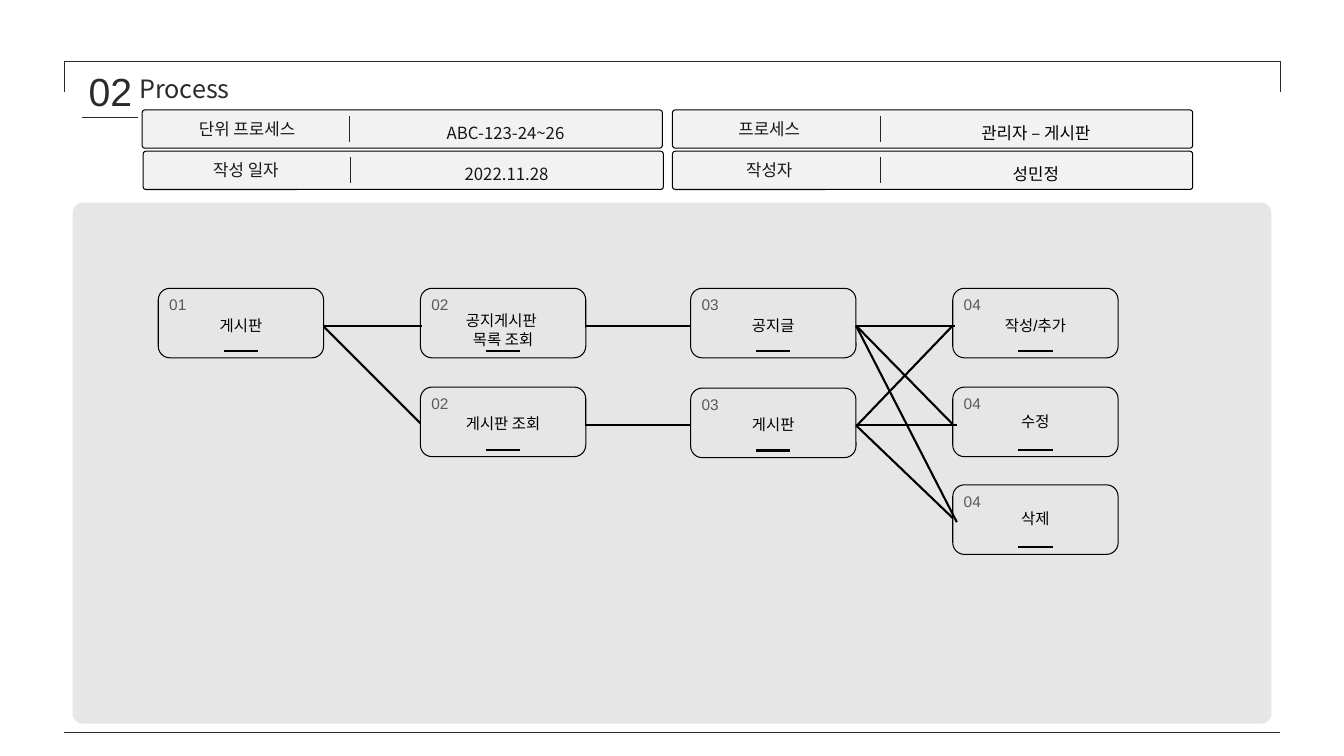
from pptx import Presentation
from pptx.dml.color import RGBColor
from pptx.enum.shapes import MSO_CONNECTOR, MSO_SHAPE
from pptx.enum.text import MSO_ANCHOR, MSO_AUTO_SIZE, PP_ALIGN
from pptx.oxml.ns import qn
from pptx.util import Inches, Pt
from lxml.etree import SubElement

NOTO = "Noto Sans CJK KR"


def style(item, fill=None, line=None, width=0.75, head=None, tail=None):
    if fill:
        item.fill.solid()
        item.fill.fore_color.rgb = RGBColor.from_string(fill)
    elif hasattr(item, "fill"):
        item.fill.background()
    if line:
        item.line.color.rgb = RGBColor.from_string(line)
        item.line.width = Pt(width)
    else:
        item.line.fill.background()
    if hasattr(item, "shadow"):
        item.shadow.inherit = False
    else:
        spPr = item._element.spPr
        for tag, kind in (("a:headEnd", head), ("a:tailEnd", tail)):
            if kind:
                SubElement(spPr.find(qn("a:ln")), qn(tag)).set("type", kind)
        SubElement(spPr, qn("a:effectLst"))


def write(box, text, size, color, font, align=PP_ALIGN.LEFT, spacing=1.0, margins=(0.1, 0.05, 0.1, 0.05)):
    tf = box.text_frame
    tf.word_wrap = True
    tf.auto_size = MSO_AUTO_SIZE.NONE
    tf.vertical_anchor = MSO_ANCHOR.TOP
    tf.margin_left, tf.margin_top, tf.margin_right, tf.margin_bottom = [Inches(m) for m in margins]
    tf.text = text
    for p in tf.paragraphs:
        p.alignment = align
        p.line_spacing = spacing
        p.font.size = Pt(size)
        p.font.name = font
        p.font.color.rgb = RGBColor.from_string(color)


prs = Presentation()
prs.slide_width = Inches(13.33)
prs.slide_height = Inches(7.5)
s = prs.slides.add_slide(prs.slide_layouts[5])
shapes = s.shapes

panel = shapes.add_shape(MSO_SHAPE.ROUNDED_RECTANGLE, Inches(0.72), Inches(2.01), Inches(11.89), Inches(5.17))
panel.adjustments[0] = 0.02
style(panel, fill="E7E6E6")

bracket = shapes.add_shape(MSO_SHAPE.RIGHT_BRACKET, Inches(6.52), Inches(-5.27), Inches(0.3), Inches(12.06))
bracket.adjustments[0] = 0
bracket.rotation = 270
style(bracket, line="2A2A2A")

for x1, x2, y in ((0.63, 12.7, 7.27), (0.81, 1.37, 1.17)):
    rule = shapes.add_connector(MSO_CONNECTOR.STRAIGHT, Inches(x1), Inches(y), Inches(x2), Inches(y))
    style(rule, line="2A2A2A")

title = shapes.title
title.left, title.top, title.width, title.height = Inches(1.34), Inches(0.71), Inches(1.26), Inches(0.34)
write(title, "Process", 18, "2A2A2A", NOTO, margins=(0.04, 0.02, 0.12, 0.02))
number = shapes.add_textbox(Inches(0.88), Inches(0.67), Inches(0.49), Inches(0.79))
write(number, "02", 28, "2A2A2A", "Arial", margins=(0, 0, 0, 0))

fields = [
    (1.41, 1.09, "단위 프로세스 ", 1.06, "ABC-123-24~26", "181717"),
    (1.42, 1.5, "작성 일자", 1.02, "2022.11.28", "181717"),
    (6.67, 1.09, "프로세스", 0.96, "관리자 – 게시판", "000000"),
    (6.67, 1.5, "작성자", 0.96, "성민정", "000000"),
]
for x, y, label, center, value, color in fields:
    bar = shapes.add_shape(MSO_SHAPE.ROUNDED_RECTANGLE, Inches(x), Inches(y), Inches(5.16), Inches(0.38))
    bar.adjustments[0] = 0.075
    style(bar, fill="F2F2F2", line="000000")
    divider = shapes.add_connector(
        MSO_CONNECTOR.STRAIGHT, Inches(x + 2.06), Inches(y + 0.06), Inches(x + 2.06), Inches(y + 0.32))
    style(divider, line="242424")
    tb = shapes.add_textbox(Inches(x + center - 0.83), Inches(y + 0.01), Inches(1.66), Inches(0.33))
    write(tb, label, 12, "181717", NOTO, PP_ALIGN.CENTER, 1.14)
    tb = shapes.add_textbox(Inches(x + 2.19), Inches(y + 0.02), Inches(2.83), Inches(0.36))
    write(tb, value, 12, color, NOTO, PP_ALIGN.CENTER, 1.3)

steps = [
    (1.57, 2.86, "01", "게시판", 0.23),
    (4.17, 2.86, "02", "공지게시판 \n목록 조회", 0.18),
    (6.85, 2.86, "03", "공지글", 0.23),
    (9.45, 2.86, "04", "작성/추가", 0.23),
    (4.17, 3.84, "02", "게시판 조회", 0.22),
    (6.85, 3.85, "03", "게시판", 0.22),
    (9.45, 3.84, "04", "수정", 0.2),
    (9.45, 4.81, "04", "삭제", 0.19),
]
for x, y, num, name, offset in steps:
    card = shapes.add_shape(MSO_SHAPE.ROUNDED_RECTANGLE, Inches(x), Inches(y), Inches(1.64), Inches(0.69))
    style(card, line="000000")
    tb = shapes.add_textbox(Inches(x + 0.01), Inches(y + 0.02), Inches(0.61), Inches(0.29))
    write(tb, num, 11, "595959", "Arial")
    dash = shapes.add_connector(
        MSO_CONNECTOR.STRAIGHT, Inches(x + 0.65), Inches(y + 0.62), Inches(x + 0.99), Inches(y + 0.62))
    style(dash, line="000000", width=1.5)
    tb = shapes.add_textbox(Inches(x), Inches(y + offset), Inches(1.64), Inches(0.29 + 0.18 * name.count("\n")))
    write(tb, name, 11, "000000", "Arial", PP_ALIGN.CENTER)

arrows = [
    (3.21, 3.23, 4.19, 3.23),
    (3.21, 3.24, 4.17, 4.2),
    (5.81, 3.23, 6.85, 3.23),
    (5.81, 4.22, 6.85, 4.22),
    (8.49, 3.23, 9.47, 3.23),
    (8.49, 3.23, 9.49, 5.18),
    (8.49, 3.23, 9.45, 4.21),
    (8.49, 4.22, 9.49, 4.22),
    (8.49, 4.22, 9.45, 5.14),
    (8.5, 4.22, 9.45, 3.23),
]
for ends in arrows:
    arrow = shapes.add_connector(MSO_CONNECTOR.STRAIGHT, *[Inches(v) for v in ends])
    style(arrow, line="000000", width=1.5, head="diamond", tail="triangle")

prs.save("out.pptx")
